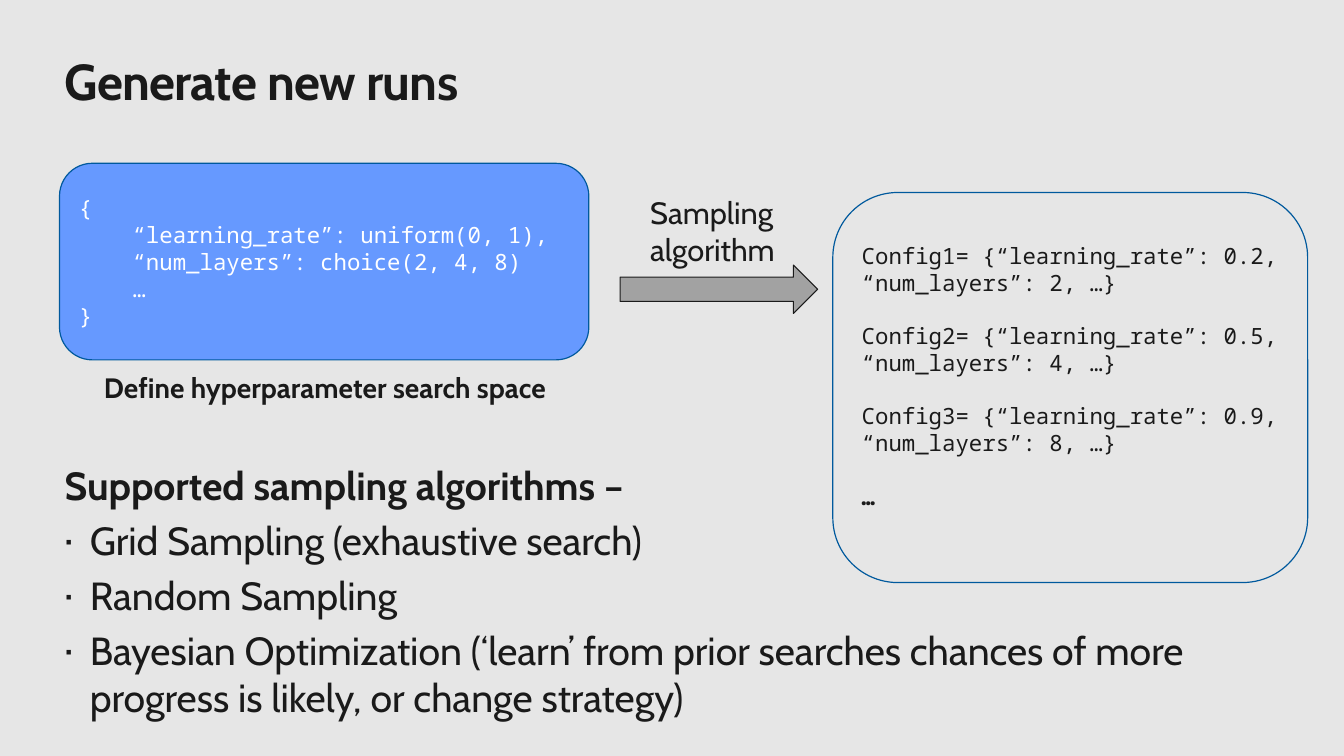
import pptx
import pptx.util
import pptx.dml.color
import pptx.enum.shapes
import pptx.enum.text
from lxml import etree

Inches = pptx.util.Inches
Pt = pptx.util.Pt
Shape = pptx.enum.shapes.MSO_SHAPE
Anchor = pptx.enum.text.MSO_ANCHOR
Align = pptx.enum.text.PP_ALIGN

COLOURS = {
    "background": "E6E6E6",
    "ink": "1A1A1A",
    "space": "6699FF",
    "outline": "00599D",
    "arrow": "A2A2A2",
    "white": "FFFFFF",
}
SANS = "Cabin"
MONO = "Noto Sans Mono"
SEARCH_SPACE = [
    "{",
    "    “learning_rate”: uniform(0, 1),",
    "    “num_layers”: choice(2, 4, 8)",
    "    …",
    "}",
]
CONFIGS = [(0.2, 2), (0.5, 4), (0.9, 8)]
ALGORITHMS = [
    "Grid Sampling (exhaustive search)",
    "Random Sampling",
    "Bayesian Optimization (‘learn’ from prior searches chances of more progress is likely, or change strategy)",
]


def colour(name):
    return pptx.dml.color.RGBColor.from_string(COLOURS[name])


def add_bullet(para, indent=0.25):
    props = para._p.get_or_add_pPr()
    props.set("marL", str(Inches(indent)))
    props.set("indent", str(-Inches(indent)))
    for tag, key, value in (("a:buSzPct", "val", "90000"), ("a:buFont", "typeface", SANS),
                            ("a:buChar", "char", "·")):
        etree.SubElement(props, pptx.oxml.ns.qn(tag)).set(key, value)


def write(frame, text, size=16, font=SANS, ink="ink", bold=False, before=0,
          bullet=False, tracking=None):
    first = frame.paragraphs[0]
    para = frame.add_paragraph() if first.runs else first
    if bullet:
        add_bullet(para)
    para.alignment = Align.LEFT
    para.space_before = Pt(before)
    span = para.add_run()
    span.text = text
    span.font.size = Pt(size)
    span.font.name = font
    span.font.bold = bold
    span.font.color.rgb = colour(ink)
    if tracking is not None:
        span._r.get_or_add_rPr().set("spc", str(int(tracking * 100)))


def prepare_frame(shape, anchor=Anchor.TOP, margin=0):
    frame = shape.text_frame
    frame.word_wrap = True
    frame.vertical_anchor = anchor
    frame.margin_left = frame.margin_right = Inches(margin)
    frame.margin_top = frame.margin_bottom = Inches(margin / 2)
    return frame


def add_text_box(page, box, margin=0):
    return prepare_frame(page.shapes.add_textbox(*map(Inches, box)), margin=margin)


def add_outlined(page, kind, box, fill=None, line="outline", weight=0.85):
    shape = page.shapes.add_shape(kind, *map(Inches, box))
    shape.shadow.inherit = False
    if fill:
        shape.fill.solid()
        shape.fill.fore_color.rgb = colour(fill)
    else:
        shape.fill.background()
    shape.line.color.rgb = colour(line)
    shape.line.width = Pt(weight)
    return shape


def place_title(page, box):
    title = page.shapes.title
    title.left, title.top, title.width, title.height = map(Inches, box)
    write(prepare_frame(title), "Generate new runs", size=36, bold=True, tracking=-0.5)


def place_algorithms(page, box):
    frame = add_text_box(page, box)
    write(frame, "Supported sampling algorithms –", size=28, bold=True)
    for name in ALGORITHMS:
        write(frame, name, size=28, before=5.6, bullet=True)


def place_search_space(page, box):
    left, top, width, height = box
    card = add_outlined(page, Shape.ROUNDED_RECTANGLE, (left, top, width, 1.95), fill="space")
    frame = prepare_frame(card, Anchor.MIDDLE, 0.1)
    for code in SEARCH_SPACE:
        write(frame, code, font=MONO, ink="white")
    caption = add_text_box(page, (left + 0.44, top + height - 0.34, 4.65, 0.34))
    write(caption, "Define hyperparameter search space", size=20, bold=True)


def place_sampling_step(page, box):
    left, top, width, height = box
    add_outlined(page, Shape.RIGHT_ARROW, (left, top + height - 0.48, width, 0.48),
                 fill="arrow", line="ink", weight=0.75)
    label = add_text_box(page, (left + 0.2, top, 1.64, 0.84), margin=0.1)
    for word in ("Sampling", "algorithm"):
        write(label, word, size=22)


def place_configs(page, box):
    gap = 19
    frame = prepare_frame(add_outlined(page, Shape.ROUNDED_RECTANGLE, box), Anchor.MIDDLE, 0.1)
    frame.margin_bottom = Inches(0.28)
    for number, (rate, layers) in enumerate(CONFIGS, 1):
        write(frame, f"Config{number}= {{“learning_rate”: {rate}, “num_layers”: {layers}, …}}",
              font=MONO, before=gap if number > 1 else 0)
    write(frame, "…", font=MONO, bold=True, before=gap)


def main():
    deck = pptx.Presentation()
    deck.slide_width, deck.slide_height = Inches(13.33), Inches(7.5)
    page = deck.slides.add_slide(deck.slide_layouts.get_by_name("Title Only"))
    page.background.fill.solid()
    page.background.fill.fore_color.rgb = colour("background")
    place_title(page, (0.64, 0.5, 12.05, 0.61))
    place_algorithms(page, (0.64, 4.58, 12.05, 2.64))
    place_search_space(page, (0.59, 1.62, 5.25, 2.4))
    place_sampling_step(page, (6.15, 1.87, 1.96, 1.24))
    place_configs(page, (8.26, 1.91, 4.71, 3.87))
    deck.save("out.pptx")


if __name__ == "__main__":
    main()
